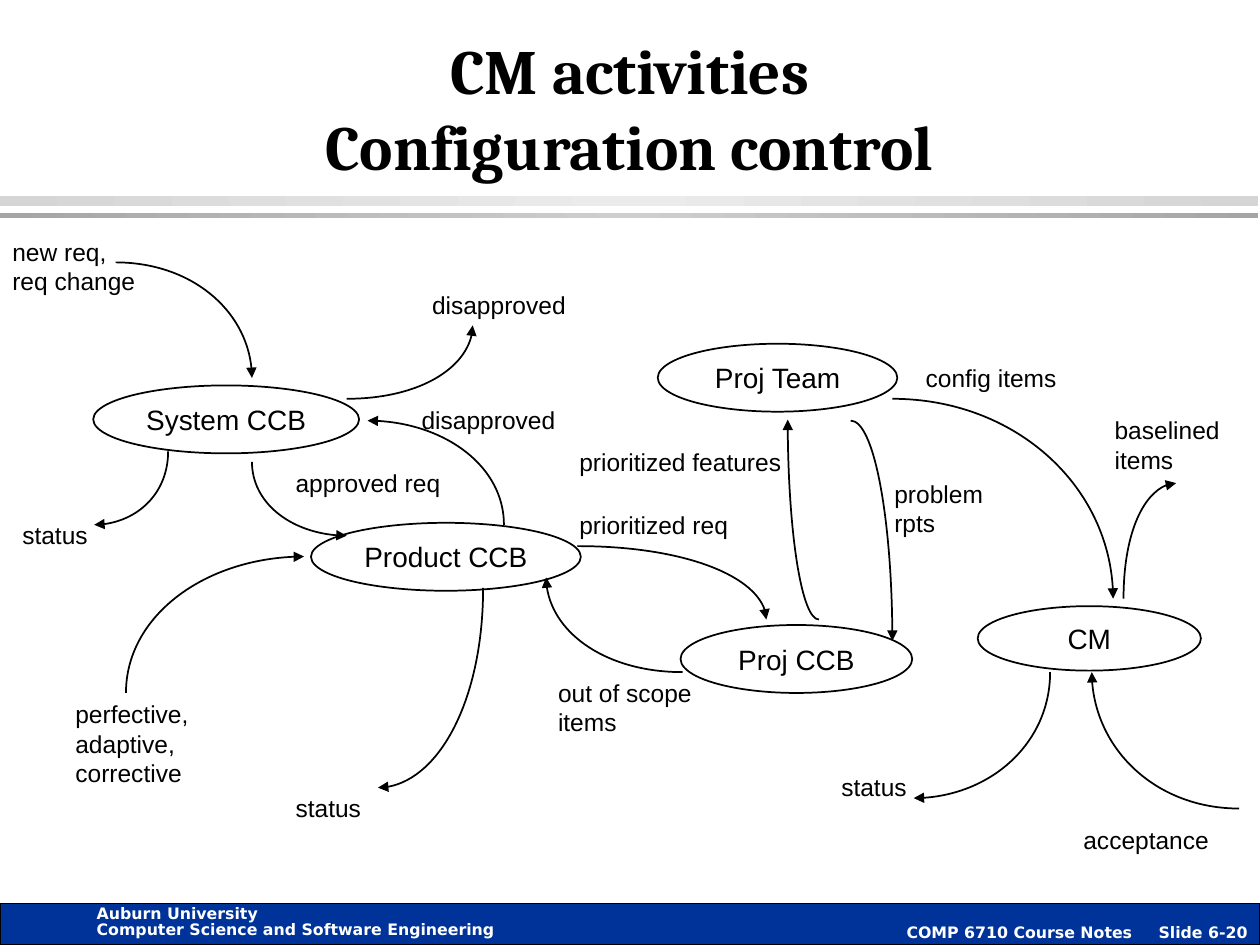
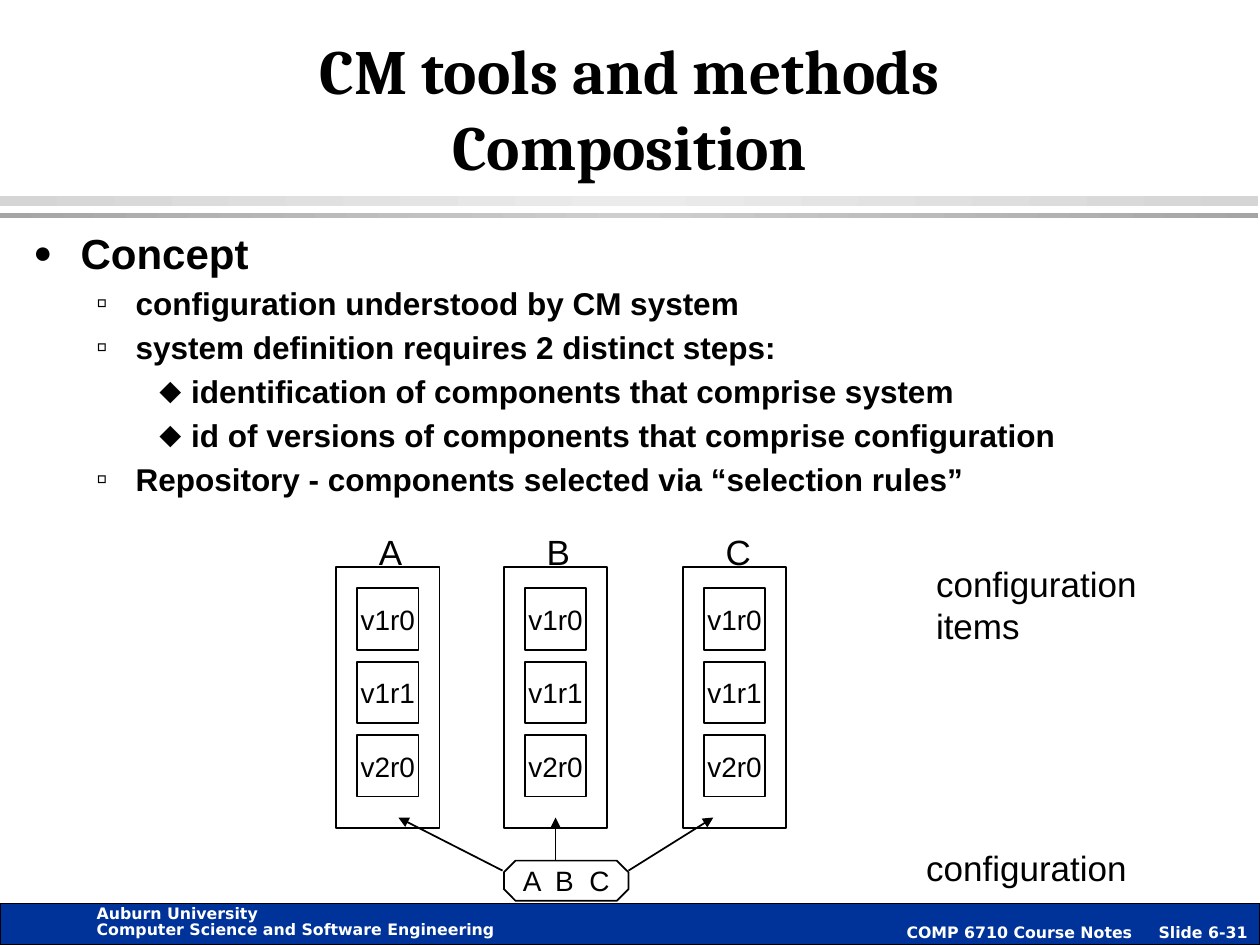
import copy
from typing import NamedTuple

import lxml.etree
import pptx
import pptx.dml.color
import pptx.enum.shapes
import pptx.enum.text
import pptx.oxml.ns
import pptx.util

Cm, Pt = pptx.util.Cm, pptx.util.Pt
qn = pptx.oxml.ns.qn
SHAPE = pptx.enum.shapes.MSO_SHAPE
ALIGN = pptx.enum.text.PP_ALIGN
ANCHOR = pptx.enum.text.MSO_ANCHOR

COLORS = {
    "ink": "000000", "paper": "FFFFFF", "footer": "003399",
    "band edge": "D5D5D5", "band middle": "EBEBEB",
    "rule edge": "A5A5A5", "rule middle": "CECECE",
}
BODY_FONT, TITLE_FONT, FOOTER_FONT = "Arial", "Cambria", "DejaVu Sans"
ARC = 0.55  # Bézier handle length of a quarter ellipse


# All positions and sizes below are in centimetres.
class Box(NamedTuple):
    left: float
    top: float
    width: float
    height: float

    def lengths(self) -> list:
        return [Cm(value) for value in self]


class Label(NamedTuple):
    text: str
    box: Box


class Flow(NamedTuple):
    start: tuple[float, float]
    end: tuple[float, float]
    leaves_sideways: bool


class Bullet(NamedTuple):
    char: str
    size_percent: int
    margin: float
    hanging: float
    points: int


class Stripe(NamedTuple):
    box: Box
    edge: str
    middle: str


# Shared parts
TITLE_BOX = Box(1.9, 0.64, 21.59, 3.18)
STRIPES = [
    Stripe(Box(0, 3.96, 25.37, 0.2), "band edge", "band middle"),
    Stripe(Box(0, 4.29, 25.37, 0.1), "rule edge", "rule middle"),
]
FOOTER_BOX = Box(0, 18.21, 25.4, 0.84)
SCHOOL = Label("Auburn University\nComputer Science and Software Engineering",
               Box(1.7, 18.16, 8.53, 0.89))

# Configuration control
BOARDS = [
    Label("System CCB", Box(1.88, 7.77, 5.36, 1.37)),
    Label("Product CCB", Box(6.27, 10.54, 5.44, 1.37)),
    Label("Proj CCB", Box(13.72, 12.6, 4.67, 1.37)),
    Label("Proj Team", Box(13.26, 6.93, 4.83, 1.37)),
    Label("CM", Box(19.71, 12.22, 4.5, 1.3)),
]
FLOW_LABELS = [
    Label("new req,\vreq change", Box(0, 4.65, 4.67, 1.45)),
    Label("status", Box(0.2, 10.36, 4.67, 0.84)),
    Label("disapproved", Box(8.25, 8.05, 4.67, 0.84)),
    Label("approved req", Box(5.71, 9.32, 4.67, 0.84)),
    Label("perfective,\vadaptive,\vcorrective", Box(1.27, 13.97, 4.67, 2.03)),
    Label("status", Box(5.71, 15.87, 4.67, 0.84)),
    Label("baselined items", Box(22.22, 8.25, 3, 1.45)),
    Label("prioritized req", Box(11.43, 10.16, 4.67, 0.84)),
    Label("out of scope items", Box(11, 13.54, 3.63, 1.45)),
    Label("prioritized features", Box(11.43, 8.89, 4.67, 0.84)),
    Label("problem rpts", Box(17.78, 9.53, 3.2, 1.45)),
    Label("config items", Box(18.41, 7.19, 3.2, 0.84)),
    Label("status", Box(16.71, 15.44, 4.67, 0.84)),
    Label("acceptance", Box(21.59, 16.51, 3.4, 0.84)),
    Label("disapproved", Box(8.46, 5.72, 4.67, 0.84)),
]
FLOWS = [
    Flow((2.33, 5.29), (5.08, 7.62), True),
    Flow((3.39, 9.1), (1.9, 10.58), False),
    Flow((5.08, 9.31), (6.99, 10.8), False),
    Flow((2.54, 13.97), (6.13, 11.22), False),
    Flow((6.99, 8.04), (9.53, 6.56), True),
    Flow((9.74, 11.85), (7.62, 15.88), False),
    Flow((11.64, 11.01), (15.45, 12.49), True),
    Flow((13.76, 13.55), (11.01, 11.64), True),
    Flow((17.15, 8.48), (17.99, 12.92), True),
    Flow((16.51, 12.49), (15.88, 8.46), True),
    Flow((17.99, 8.04), (22.44, 12.07), True),
    Flow((21.17, 13.55), (18.42, 16.09), False),
    Flow((24.98, 16.3), (22.01, 13.55), True),
    Flow((22.65, 12.07), (23.71, 9.74), False),
    Flow((10.16, 10.58), (7.41, 8.48), False),
]

# Composition
CONCEPT_BOX = Box(0.42, 4.45, 24.13, 13.54)
BULLETS = [
    Bullet("●", 75, 0.95, 0.95, 24),
    Bullet("▫", 100, 2.06, 0.79, 18),
    Bullet("⬥", 100, 3.18, 0.64, 18),
]
CONCEPT = [
    (0, "Concept"),
    (1, "configuration understood by CM system"),
    (1, "system definition requires 2 distinct steps:"),
    (2, "identification of components that comprise system"),
    (2, "id of versions of components that comprise configuration"),
    (1, "Repository - components selected via “selection rules”"),
]
COMPONENT_LEFTS = {"A": 6.78, "B": 10.16, "C": 13.77}
VERSIONS = ["v1r0", "v1r1", "v2r0"]
VERSION_TOP, VERSION_PITCH, VERSION_SIZE = 11.86, 1.48, 1.24
CONFIGURATION = Label("A B C", Box(10.16, 17.35, 2.51, 0.81))
SELECTIONS = [
    ((10.13, 17.55), (8.03, 16.48)),
    ((11.2, 17.35), (11.2, 16.48)),
    ((12.67, 17.55), (14.38, 16.48)),
]
SIDE_LABELS = [
    Label("configuration items", Box(18.62, 11.22, 6.38, 1.96)),
    Label("configuration", Box(18.42, 16.94, 6.38, 1.09)),
]


def rgb(name: str) -> pptx.dml.color.RGBColor:
    return pptx.dml.color.RGBColor.from_string(COLORS[name])


def format_runs(paragraph, font: str, points: int, color: str = "ink",
                bold: bool = False) -> None:
    for run in paragraph.runs:
        run.font.name, run.font.size, run.font.bold = font, Pt(points), bold
        run.font.color.rgb = rgb(color)


def outline(item, points: float = 1, arrow: bool = False) -> None:
    item.line.color.rgb = rgb("ink")
    item.line.width = Pt(points)
    if arrow:
        line = item._element.spPr.find(qn("a:ln"))
        lxml.etree.SubElement(line, qn("a:tailEnd"), type="triangle")


def add_label(slide, label: Label, points: int):
    caption = slide.shapes.add_textbox(*label.box.lengths())
    caption.text_frame.word_wrap = True
    caption.text_frame.text = label.text
    format_runs(caption.text_frame.paragraphs[0], BODY_FONT, points)


def add_node(slide, kind, label: Label):
    """Outlined shape with centred text."""
    node = slide.shapes.add_shape(kind, *label.box.lengths())
    node.shadow.inherit = False
    node.fill.background()
    outline(node)
    frame = node.text_frame
    frame.word_wrap = False
    frame.vertical_anchor = ANCHOR.MIDDLE
    if label.text:
        frame.text = label.text
        frame.paragraphs[0].alignment = ALIGN.CENTER
        format_runs(frame.paragraphs[0], BODY_FONT, 16)
    return node


def add_flow(slide, flow: Flow) -> None:
    """Quarter-ellipse arrow."""
    start, end = ([Cm(value) for value in point] for point in flow[:2])
    builder = slide.shapes.build_freeform(*start)
    builder.add_line_segments([end], close=False)
    arc = builder.convert_to_shape()
    arc.shadow.inherit = False
    arc.fill.background()
    outline(arc, arrow=True)

    # Bend the straight segment
    (x0, y0), (x1, y1) = ((int(point.get("x")), int(point.get("y")))
                          for point in arc._element.iter(qn("a:pt")))
    dx, dy = ARC * (x1 - x0), ARC * (y1 - y0)
    if flow.leaves_sideways:
        handles = [(x0 + dx, y0), (x1, y1 - dy)]
    else:
        handles = [(x0, y0 + dy), (x1 - dx, y1)]
    segment = next(arc._element.iter(qn("a:lnTo")))
    curve = lxml.etree.Element(qn("a:cubicBezTo"))
    for x, y in handles + [(x1, y1)]:
        lxml.etree.SubElement(curve, qn("a:pt"), x=str(round(x)), y=str(round(y)))
    segment.getparent().replace(segment, curve)


def add_selection(slide, start: tuple, end: tuple) -> None:
    arrow = slide.shapes.add_connector(
        pptx.enum.shapes.MSO_CONNECTOR.STRAIGHT,
        *(Cm(value) for value in start + end))
    outline(arrow, arrow=True)
    lxml.etree.SubElement(arrow._element.spPr, qn("a:effectLst"))


def add_stripe(slide, stripe: Stripe) -> None:
    bar = slide.shapes.add_shape(SHAPE.RECTANGLE, *stripe.box.lengths())
    bar.shadow.inherit = False
    bar.line.fill.background()
    bar.fill.gradient()
    bar.fill.gradient_angle = 0
    stops = next(bar._element.iter(qn("a:gsLst")))
    stops.append(copy.deepcopy(stops[0]))
    shades = [stripe.edge, stripe.middle, stripe.edge]
    for stop, position, shade in zip(bar.fill.gradient_stops, (0, 0.5, 1), shades):
        stop.position = position
        stop.color.rgb = rgb(shade)


def add_footer(slide, number: str) -> None:
    bar = slide.shapes.add_shape(SHAPE.RECTANGLE, *FOOTER_BOX.lengths())
    bar.shadow.inherit = False
    bar.fill.solid()
    bar.fill.fore_color.rgb = rgb("footer")
    outline(bar, 0.75)
    course = bar.text_frame
    course.word_wrap = False
    course.vertical_anchor = ANCHOR.BOTTOM
    course.margin_bottom = Cm(0.07)
    course.text = f"COMP 6710 Course Notes\tSlide {number}"
    course.paragraphs[0].alignment = ALIGN.RIGHT

    school = slide.shapes.add_textbox(*SCHOOL.box.lengths()).text_frame
    school.text = SCHOOL.text
    for paragraph in school.paragraphs:
        paragraph.line_spacing = Pt(9)
    for paragraph in (*course.paragraphs, *school.paragraphs):
        format_runs(paragraph, FOOTER_FONT, 9, "paper", bold=True)


def place(placeholder, box: Box):
    (placeholder.left, placeholder.top,
     placeholder.width, placeholder.height) = box.lengths()
    placeholder.text_frame.auto_size = pptx.enum.text.MSO_AUTO_SIZE.NONE
    return placeholder.text_frame


def start_slide(deck, layout: int, title: str, number: str):
    slide = deck.slides.add_slide(deck.slide_layouts[layout])
    heading = place(slide.shapes.title, TITLE_BOX)
    heading.vertical_anchor = ANCHOR.BOTTOM
    heading.text = title
    heading.paragraphs[0].alignment = ALIGN.CENTER
    format_runs(heading.paragraphs[0], TITLE_FONT, 36, bold=True)
    for stripe in STRIPES:
        add_stripe(slide, stripe)
    add_footer(slide, number)
    return slide


def fill_concept(frame) -> None:
    frame.text = "\n".join(text for _, text in CONCEPT)
    for paragraph, (level, _) in zip(frame.paragraphs, CONCEPT):
        bullet = BULLETS[level]
        paragraph.level = level
        props = paragraph._p.get_or_add_pPr()
        props.set("marL", str(Cm(bullet.margin)))
        props.set("indent", str(-Cm(bullet.hanging)))
        tint = lxml.etree.SubElement(props, qn("a:buClr"))
        lxml.etree.SubElement(tint, qn("a:srgbClr"), val=COLORS["ink"])
        lxml.etree.SubElement(props, qn("a:buSzPct"), val=str(bullet.size_percent * 1000))
        lxml.etree.SubElement(props, qn("a:buChar"), char=bullet.char)
        format_runs(paragraph, BODY_FONT, bullet.points, bold=True)
    frame.paragraphs[0].space_before = Pt(0)


def build_configuration_control(deck) -> None:
    slide = start_slide(deck, 5, "CM activities\vConfiguration control", "6-20")
    for board in BOARDS:
        add_node(slide, SHAPE.OVAL, board)
    for flow in FLOWS:
        add_flow(slide, flow)
    for label in FLOW_LABELS:
        add_label(slide, label, 14)


def build_composition(deck) -> None:
    slide = start_slide(deck, 1, "CM tools and methods\vComposition", "6-31")
    fill_concept(place(slide.placeholders[1], CONCEPT_BOX))

    # Components with their versions
    for component, left in COMPONENT_LEFTS.items():
        add_node(slide, SHAPE.RECTANGLE, Label("", Box(left, 11.43, 2.08, 5.26)))
        add_label(slide, Label(component, Box(left + 0.61, 10.57, 1.3, 1.09)), 20)
        for row, version in enumerate(VERSIONS):
            top = VERSION_TOP + row * VERSION_PITCH
            add_node(slide, SHAPE.RECTANGLE, Label(
                version, Box(left + 0.42, top, VERSION_SIZE, VERSION_SIZE)))

    # Configuration selecting one version of each
    configuration = add_node(slide, SHAPE.OCTAGON, CONFIGURATION)
    configuration.adjustments[0] = 0.29
    letters = configuration.text_frame.paragraphs[0].runs[0]
    letters._r.get_or_add_rPr().set("spc", "220")
    for start, end in SELECTIONS:
        add_selection(slide, start, end)
    for label in SIDE_LABELS:
        add_label(slide, label, 20)


def main() -> None:
    deck = pptx.Presentation()
    deck.slide_width, deck.slide_height = Cm(25.4), Cm(19.05)
    build_configuration_control(deck)
    build_composition(deck)
    deck.save("out.pptx")


if __name__ == "__main__":
    main()
